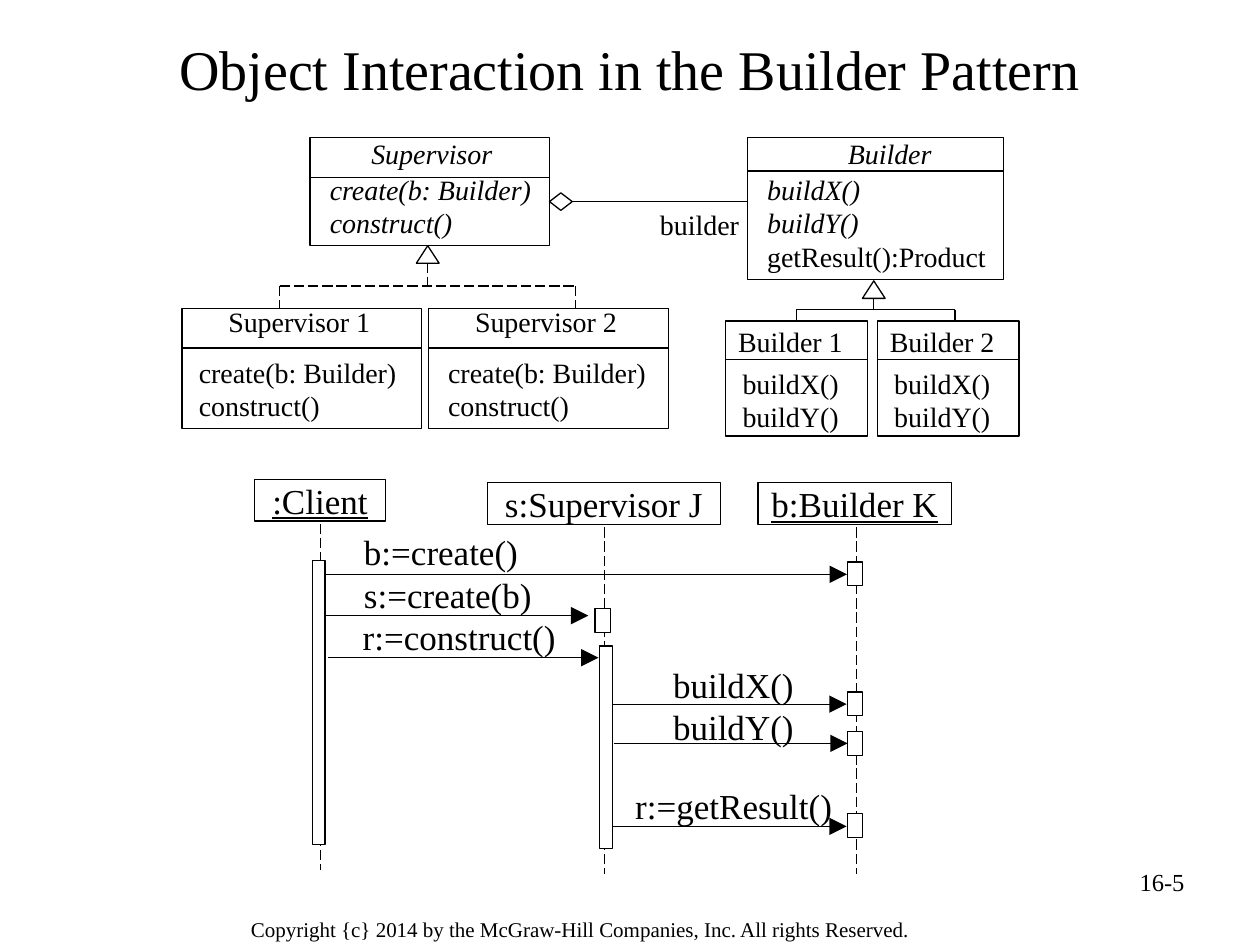
from lxml.etree import SubElement
from pptx import Presentation
from pptx.dml.color import RGBColor
from pptx.enum.dml import MSO_LINE
from pptx.enum.shapes import MSO_CONNECTOR, MSO_SHAPE as SHAPE
from pptx.enum.text import MSO_ANCHOR as ANCHOR, MSO_AUTO_SIZE as AUTO_SIZE, PP_ALIGN as ALIGN
from pptx.oxml.ns import qn
from pptx.util import Pt

COLORS = {"ink": "000000", "paper": "FFFFFF"}
FONT = "Times New Roman"


def color(name):
    """Return the named colour."""
    return RGBColor.from_string(COLORS[name])


def write(frame, lines, size, align=ALIGN.LEFT, italics=0, underline=False,
          margins=(7.2, 3.6), anchor=ANCHOR.TOP, wrap=False):
    """Fill a text frame, with the first few lines in italics."""
    frame.word_wrap = wrap
    frame.auto_size = AUTO_SIZE.NONE
    frame.vertical_anchor = anchor
    frame.margin_left = frame.margin_right = Pt(margins[0])
    frame.margin_top = frame.margin_bottom = Pt(margins[1])
    for index, line in enumerate(lines):
        para = frame.paragraphs[0] if index == 0 else frame.add_paragraph()
        para.text = line
        para.alignment = align
        font = para.font
        font.name, font.size = FONT, Pt(size)
        font.color.rgb = color("ink")
        font.italic = index < italics
        font.underline = underline


def add_text(page, left, top, width, height, lines, size, **style):
    """Add a text box."""
    box = page.shapes.add_textbox(Pt(left), Pt(top), Pt(width), Pt(height))
    write(box.text_frame, lines, size, **style)


def add_outline(page, left, top, width, height, kind=SHAPE.RECTANGLE, filled=False):
    """Add a thinly outlined shape."""
    shape = page.shapes.add_shape(kind, Pt(left), Pt(top), Pt(width), Pt(height))
    shape.shadow.inherit = False
    if filled:
        shape.fill.solid()
        shape.fill.fore_color.rgb = color("paper")
    else:
        shape.fill.background()
    shape.line.color.rgb = color("ink")
    shape.line.width = Pt(0.75)
    return shape


def add_line(page, x1, y1, x2, y2, dashed=False, arrow=False):
    """Add a straight line, dashed or ending in an arrowhead on request."""
    line = page.shapes.add_connector(MSO_CONNECTOR.STRAIGHT, Pt(x1), Pt(y1), Pt(x2), Pt(y2))
    line.line.color.rgb = color("ink")
    line.line.width = Pt(0.75)
    if dashed:
        line.line.dash_style = MSO_LINE.LONG_DASH
    if arrow:
        SubElement(line.line._get_or_add_ln(), qn("a:tailEnd"), type="triangle", w="lg", len="lg")
    SubElement(line._element.spPr, qn("a:effectLst"))


def class_box(page, left, top, width, height, divider, name, name_at, operations, operations_at,
              italics=0):
    """Draw a class with its name above a divider and its operations below."""
    add_text(page, left + name_at[0], top + name_at[1], width - 2 * name_at[0], 27, [name], 16,
             italics=italics)
    add_text(page, left + operations_at[0], top + operations_at[1], width - 2 * operations_at[0],
             height - operations_at[1], operations, 16, italics=italics)
    add_outline(page, left, top, width, height)
    add_line(page, left, top + divider, left + width, top + divider)


def inheritance(page, x, top, bar, bottom, children, dashed=False):
    """Join child classes to the triangle below their parent."""
    add_line(page, children[0], bar, children[-1], bar, dashed)
    for child in children:
        add_line(page, child, bar, child, bottom, dashed)
    add_line(page, x, top + 10, x, bar, dashed)
    add_outline(page, x - 6.5, top, 13, 10, SHAPE.ISOSCELES_TRIANGLE, filled=True)


def class_diagram(page, left, top):
    """Draw the supervisor and builder hierarchies."""
    create = ["create(b: Builder)", "construct()"]
    build = ["buildX()", "buildY()"]
    class_box(page, left + 73.1, top + 4.5, 137, 62, 23, "Supervisor", (28, -4.3),
              create, (4.3, 16.5), italics=2)
    for number, x, inset in ((1, 0, 2.5), (2, 141, 4)):
        class_box(page, left + x, top + 102.4, 137, 68.4, 22.5, f"Supervisor {number}",
                  (19.4, -5.8), create, (inset, 23))
    class_box(page, left + 323, top + 4.5, 146.5, 81.4, 19.2, "Builder", (50.4, -4.3),
              build + ["getResult():Product"], (4.3, 16.5), italics=2)
    for number, x in ((1, 310.7), (2, 397.4)):
        class_box(page, left + x, top + 109.4, 81, 65.8, 22, f"Builder {number}",
                  (0, -1.4), build, (2.5, 22.3))
    inheritance(page, left + 140.4, top + 66.4, top + 89.4, top + 102.4,
                [left + 55.8, left + 225], dashed=True)
    inheritance(page, left + 395.3, top + 86.5, top + 103, top + 109.4,
                [left + 351, left + 441.8])
    add_outline(page, left + 210, top + 36.2, 13, 10, SHAPE.DIAMOND)
    add_line(page, left + 223, top + 41.2, left + 323, top + 41.2)
    add_text(page, left + 266, top + 41.2, 60, 27, ["builder"], 16)


def participant(page, left, top, width, name, lifeline, underline):
    """Draw a named object and its lifeline."""
    box = add_outline(page, left, top, width, 24)
    write(box.text_frame, [name], 20, ALIGN.CENTER, underline=underline, margins=(0, 0))
    add_line(page, lifeline, top + 25.5, lifeline, top + 223.5, dashed=True)


def sequence_diagram(page, left, top):
    """Draw the participants, their activations and the messages between them."""
    participants = (
        (0.4, 0, 75, ":Client", 38, True),
        (133.6, 2, 133, "s:Supervisor J", 200.6, False),
        (288.2, 2, 110.5, "b:Builder K", 344.6, True),
    )
    for x, y, width, name, lifeline, underline in participants:
        participant(page, left + x, top + y, width, name, left + lifeline, underline)
    activations = [(33.7, 46.4, 7, 162.4), (195, 74, 8.8, 13.6), (197.4, 95.3, 7.6, 116)]
    activations += [(339.2, y, 8.8, 13.6) for y in (47.4, 121.6, 144.3, 191.2)]
    for x, y, width, height in activations:
        add_outline(page, left + x, top + y, width, height, filled=True)
    messages = (
        ("b:=create()", 63, 29.3, 41, 339, 54.4),
        ("s:=create(b)", 63, 54, 41, 191.2, 78),
        ("r:=construct()", 62.3, 78, 42.5, 197, 102),
        ("buildX()", 239.6, 105.2, 205.4, 338.8, 128.6),
        ("buildY()", 239.6, 129.3, 205.8, 339.4, 151),
        ("r:=getResult()", 218, 174.6, 205.4, 338.8, 198.4),
    )
    for label, x, y, start, end, arrow_y in messages:
        add_text(page, left + x, top + y, 114, 24, [label], 20, margins=(0, 0))
        add_line(page, left + start, top + arrow_y, left + end, top + arrow_y, arrow=True)


def title_and_footer(page, width):
    """Place the title, copyright line and page number."""
    title = page.shapes.title
    title.left, title.top, title.width, title.height = Pt(36), Pt(12), Pt(width - 72), Pt(54)
    write(title.text_frame, ["Object Interaction in the Builder Pattern"], 32, ALIGN.CENTER,
          anchor=ANCHOR.MIDDLE, wrap=True)
    add_text(page, 135.4, 520, 446, 22,
             ["Copyright {c} 2014 by the McGraw-Hill Companies, Inc. All rights Reserved."], 12,
             margins=(8, 4))
    add_text(page, width - 204, 492, 168, 37, ["16-5"], 14, align=ALIGN.RIGHT, wrap=True)


def main():
    """Build and save the deck."""
    deck = Presentation()
    deck.slide_width, deck.slide_height = Pt(720), Pt(540)
    page = deck.slides.add_slide(deck.slide_layouts[5])
    title_and_footer(page, 720)
    class_diagram(page, 104, 74)
    sequence_diagram(page, 145, 273.8)
    deck.save("out.pptx")


if __name__ == "__main__":
    main()
